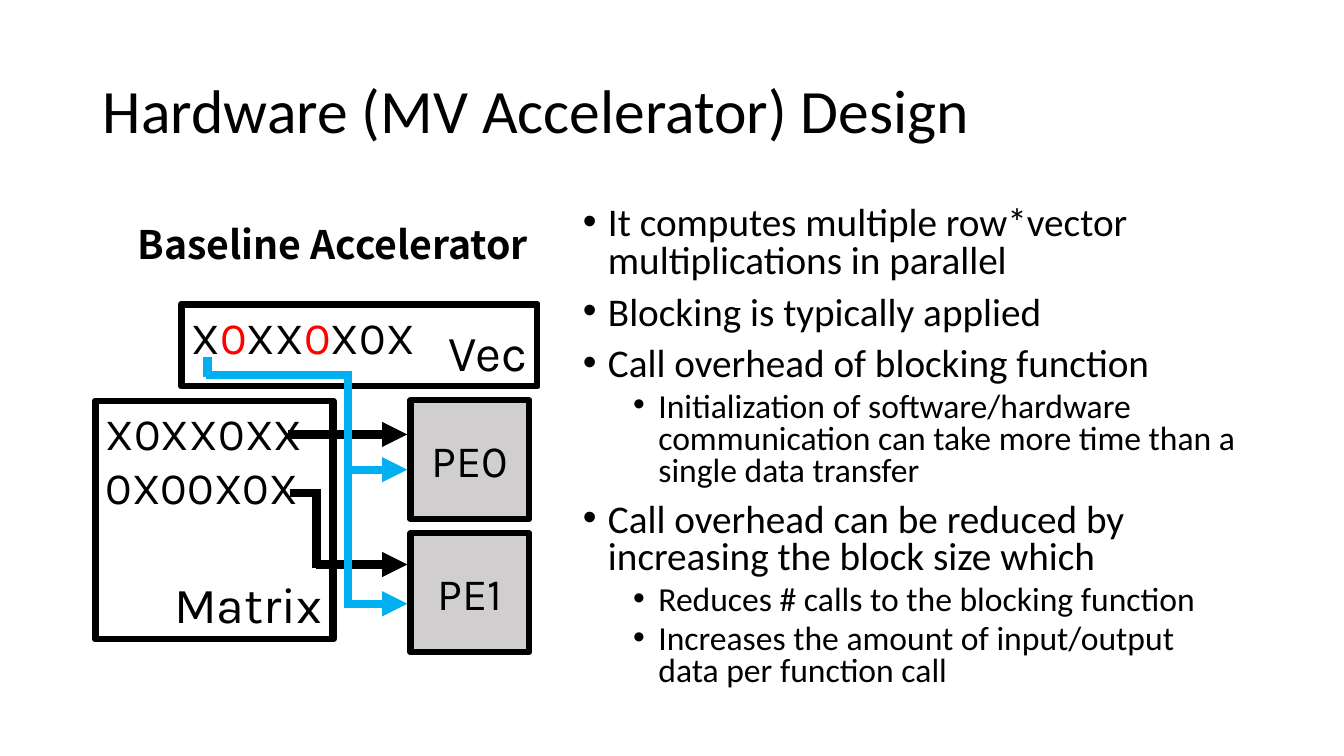
from pptx import Presentation
from pptx.dml.color import RGBColor as RGB
from pptx.enum.shapes import MSO_CONNECTOR as LINK, MSO_SHAPE as SHAPE
from pptx.enum.text import MSO_ANCHOR as ANCHOR, MSO_AUTO_SIZE as FIT, PP_ALIGN as ALIGN
from pptx.oxml.ns import qn
from pptx.util import Pt
from lxml.etree import SubElement as Sub

PX = 9144  # 100 px to the inch
HUES = {"black": "000000", "white": "FFFFFF", "red": "FF0000",
        "blue": "00B0F0", "gray": "D0CECE"}


def write(par, text, size, face="Karla", hue="black", bold=False, align=ALIGN.LEFT):
    par.alignment = align
    run = par.add_run()
    run.text = text
    font = run.font
    font.name, font.size, font.bold = face, Pt(size), bold
    font.color.rgb = RGB.from_string(HUES[hue])


def wire(x1, y1, x2, y2, hue, head=False):
    link = slide.shapes.add_connector(LINK.STRAIGHT, x1 * PX, y1 * PX, x2 * PX, y2 * PX)
    link.line.width = Pt(6)
    link.line.color.rgb = RGB.from_string(HUES[hue])
    if head:
        Sub(link.line._get_or_add_ln(), qn("a:tailEnd"), type="triangle")
    Sub(link._element.spPr, qn("a:effectLst"))


deck = Presentation()
deck.slide_width, deck.slide_height = 1333 * PX, 750 * PX
slide = deck.slides.add_slide(deck.slide_layouts[1])

# Title
title, body = slide.placeholders
title.left, title.top, title.width, title.height = [n * PX for n in (92, 40, 1150, 145)]
frame = title.text_frame
frame.auto_size = FIT.NONE
frame.vertical_anchor = ANCHOR.MIDDLE
frame.paragraphs[0].line_spacing = 0.9
write(frame.paragraphs[0], "Hardware (MV Accelerator) Design", 44, "Calibri")

# Bullet list: level, text
points = [
    (0, "It computes multiple row*vector multiplications in parallel"),
    (0, "Blocking is typically applied"),
    (0, "Call overhead of blocking function"),
    (1, "Initialization of software/hardware communication can take more time "
        "than a single data transfer"),
    (0, "Call overhead can be reduced by increasing the block size which"),
    (1, "Reduces # calls to the blocking function"),
    (1, "Increases the amount of input/output data per function call"),
]
body.left, body.top, body.width, body.height = [n * PX for n in (568, 200, 674, 514)]
frame = body.text_frame
frame.auto_size = FIT.NONE
for i, (level, text) in enumerate(points):
    par = frame.add_paragraph() if i else frame.paragraphs[0]
    par.level = level
    props = par._p.get_or_add_pPr()
    props.set("marL", str((25 + 50 * level) * PX))
    props.set("indent", str(-25 * PX))
    Sub(props, qn("a:buFont"), typeface="Arial")
    Sub(props, qn("a:buChar"), char="•")
    par.line_spacing = 0.8
    par.space_before = Pt((5 if level else 10) if i else 0)
    write(par, text, 24 if level else 28, "Calibri")

# Diagram heading
head = slide.shapes.add_textbox(72 * PX, 214 * PX, 516 * PX, 57 * PX)
head.text_frame.word_wrap = True
write(head.text_frame.paragraphs[0], "Baseline Accelerator", 28,
      "Noto Sans CJK KR", bold=True, align=ALIGN.CENTER)

# Boxes: place, fill, anchor, align, size, lines of (text, hue) runs
vec = (180, 302, 353, 81)
bits = [("X", "black"), ("0", "red"), ("XX", "black"), ("0", "red"), ("X0X", "black")]
boxes = [
    (vec, "white", ANCHOR.BOTTOM, ALIGN.RIGHT, 36, [[("Vec", "black")]]),
    ((94, 398, 236, 236), "white", ANCHOR.BOTTOM, ALIGN.RIGHT, 36, [[("Matrix", "black")]]),
    (vec, None, ANCHOR.TOP, ALIGN.LEFT, 32, [bits]),
]
for i in range(2):
    boxes.append(((407, 397 + 132 * i, 118, 118), "gray", ANCHOR.MIDDLE,
                  ALIGN.CENTER, 32, [[(f"PE{i}", "black")]]))
boxes.append(((95, 398, 236, 236), None, ANCHOR.TOP, ALIGN.LEFT, 32,
              [[("X0XX0XX", "black")], [("0X00X0X", "black")]]))

for place, fill, anchor, align, size, lines in boxes:
    box = slide.shapes.add_shape(SHAPE.RECTANGLE, *[n * PX for n in place])
    box.shadow.inherit = False
    if fill:
        box.fill.solid()
        box.fill.fore_color.rgb = RGB.from_string(HUES[fill])
    else:
        box.fill.background()
    box.line.width = Pt(4.5)
    box.line.color.rgb = RGB.from_string(HUES["black"])
    frame = box.text_frame
    frame.word_wrap = True
    frame.vertical_anchor = anchor
    for i, runs in enumerate(lines):
        par = frame.add_paragraph() if i else frame.paragraphs[0]
        for text, hue in runs:
            write(par, text, size, hue=hue, align=align)

# Arrows into the PEs
for x, y, hue in [(345, 599, "blue"), (345, 466, "blue"),
                  (286, 431, "black"), (313, 560, "black")]:
    wire(x, y, 404, y, hue, head=True)

# Matrix row wire, then vector wire
for ends in [(314, 485, 314, 564), (315, 489, 288, 489)]:
    wire(*ends, "black")
for ends in [(345, 369, 345, 603), (206, 354, 206, 374), (349, 372, 204, 372)]:
    wire(*ends, "blue")

deck.save("out.pptx")
